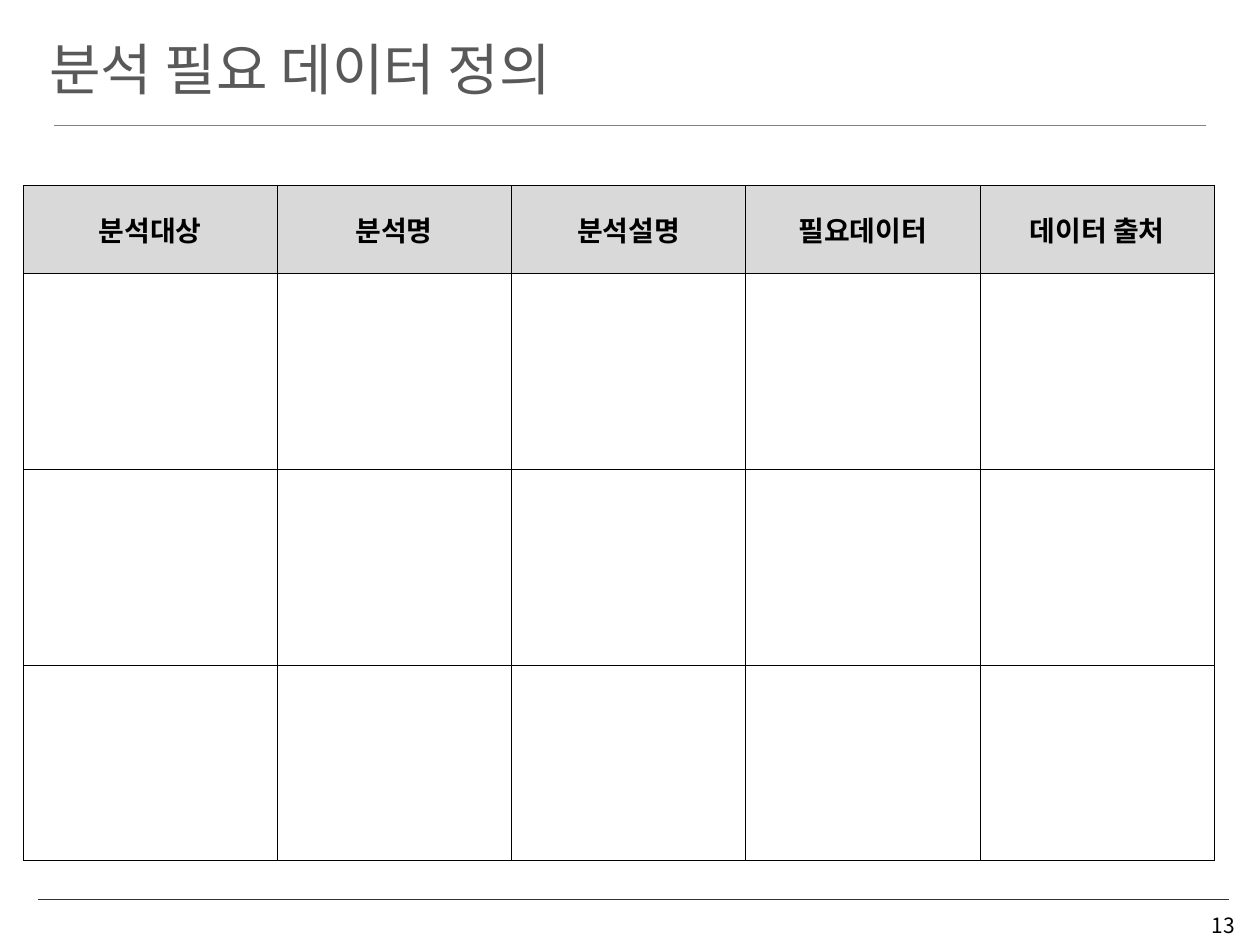
from dataclasses import dataclass

from lxml.etree import SubElement
from pptx import Presentation
from pptx.dml.color import RGBColor
from pptx.enum.shapes import MSO_CONNECTOR
from pptx.enum.text import MSO_ANCHOR, MSO_AUTO_SIZE, PP_ALIGN
from pptx.oxml.ns import qn
from pptx.util import Pt


@dataclass(frozen=True)
class Theme:
    font: str = "Noto Sans CJK KR"
    title_size: float = 32
    header_size: float = 16
    number_size: float = 12
    title: str = "595959"
    ink: str = "000000"
    header_fill: str = "D9D9D9"
    cell_fill: str = "FFFFFF"
    title_rule: str = "808080"
    footer_rule: str = "333333"
    rule_width: float = 0.5
    border_width: float = 0.25


THEME = Theme()
HEADERS = ["분석대상", "분석명", "분석설명", "필요데이터", "데이터 출처"]
COLUMN_WIDTHS = [144.7] + [133.95] * 4
ROW_HEIGHTS = [50.1] + [111.9] * 3


def write_text(frame, text, *, size, color, bold=False, align=PP_ALIGN.LEFT):
    frame.word_wrap = True
    frame.auto_size = MSO_AUTO_SIZE.NONE
    frame.vertical_anchor = MSO_ANCHOR.MIDDLE
    para = frame.paragraphs[0]
    para.alignment = align
    span = para.add_run()
    span.text = text
    span.font.name = THEME.font
    span.font.size = Pt(size)
    span.font.bold = bold
    span.font.color.rgb = RGBColor.from_string(color)
    SubElement(span.font._element, qn("a:ea"), typeface=THEME.font)


def add_title(page, text):
    title = page.shapes.title
    title.left, title.top, title.width, title.height = Pt(21), Pt(17.3), Pt(590), Pt(43.2)
    write_text(title.text_frame, text, size=THEME.title_size, color=THEME.title)


def add_rule(page, left, right, top, color):
    rule = page.shapes.add_connector(
        MSO_CONNECTOR.STRAIGHT, Pt(left), Pt(top), Pt(right), Pt(top)
    )
    rule.line.color.rgb = RGBColor.from_string(color)
    rule.line.width = Pt(THEME.rule_width)
    SubElement(rule._element.spPr, qn("a:effectLst"))


def add_page_number(page, number):
    box = page.shapes.add_textbox(Pt(530.6), Pt(518.4), Pt(182.2), Pt(20.9))
    write_text(box.text_frame, number, size=THEME.number_size,
               color=THEME.ink, align=PP_ALIGN.RIGHT)


def style_cell(cell, fill):
    properties = cell._tc.get_or_add_tcPr()
    for side in ("a:lnL", "a:lnR", "a:lnT", "a:lnB"):
        border = SubElement(properties, qn(side), w=str(Pt(THEME.border_width)))
        paint = SubElement(border, qn("a:solidFill"))
        SubElement(paint, qn("a:srgbClr"), val=THEME.ink)
    cell.fill.solid()
    cell.fill.fore_color.rgb = RGBColor.from_string(fill)
    cell.margin_left = cell.margin_right = Pt(3)
    cell.margin_top = cell.margin_bottom = Pt(3)
    cell.vertical_anchor = MSO_ANCHOR.MIDDLE


def add_data_table(page):
    table = page.shapes.add_table(
        len(ROW_HEIGHTS), len(HEADERS), Pt(13.5), Pt(106),
        Pt(sum(COLUMN_WIDTHS)), Pt(sum(ROW_HEIGHTS)),
    ).table
    table.horz_banding = False
    for column, width in zip(table.columns, COLUMN_WIDTHS):
        column.width = Pt(width)
    for row, height in zip(table.rows, ROW_HEIGHTS):
        row.height = Pt(height)
    for cell in table.iter_cells():
        style_cell(cell, THEME.cell_fill)
    for cell, text in zip(table.rows[0].cells, HEADERS):
        cell.fill.fore_color.rgb = RGBColor.from_string(THEME.header_fill)
        write_text(cell.text_frame, text, size=THEME.header_size,
                   color=THEME.ink, bold=True, align=PP_ALIGN.CENTER)
        cell.vertical_anchor = MSO_ANCHOR.MIDDLE


def main():
    deck = Presentation()
    deck.slide_width, deck.slide_height = Pt(720), Pt(540)
    page = deck.slides.add_slide(deck.slide_layouts[5])
    add_rule(page, 31, 689, 71.5, THEME.title_rule)
    add_rule(page, 21.6, 702, 514, THEME.footer_rule)
    add_page_number(page, "13")
    add_title(page, "분석 필요 데이터 정의")
    add_data_table(page)
    deck.save("out.pptx")


if __name__ == "__main__":
    main()
